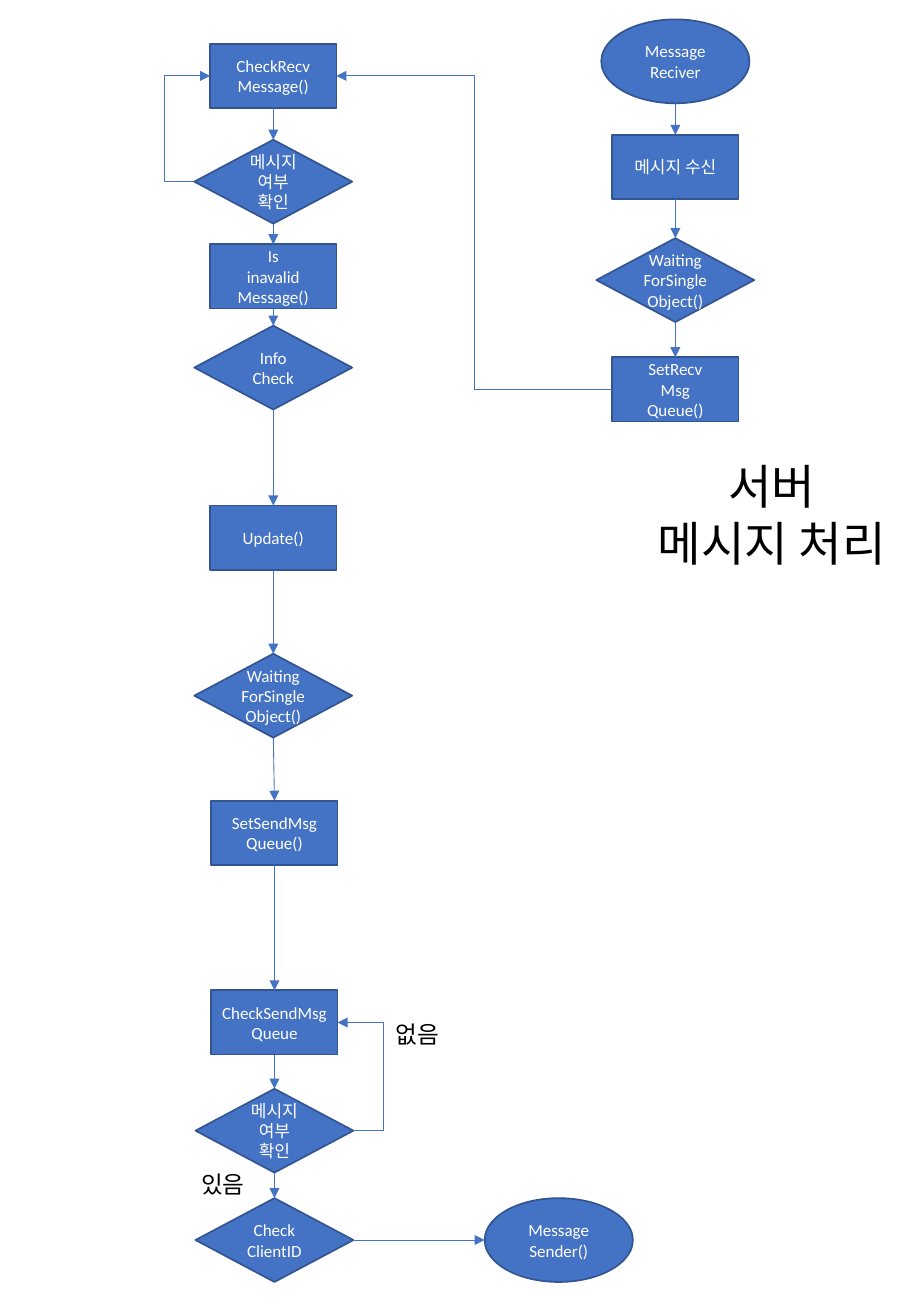
from itertools import pairwise

from lxml import etree
from pptx import Presentation
from pptx import util as u
from pptx.dml.color import RGBColor
from pptx.enum import shapes, text
from pptx.oxml.ns import qn

# Content: each lane is a centre line with (key, kind, top, lines) from top to bottom
TITLE = ["서버", "메시지 처리"]
WAIT = ["Waiting", "ForSingleObject()"]
HAS_MESSAGE = ["메시지 여부 확인"]
LANES = [
    (2.25, [
        ("check_recv", "step", 0.36, ["CheckRecv", "Message()"]),
        ("recv_any", "choice", 1.15, HAS_MESSAGE),
        ("invalid", "step", 2.01, ["Is", "inavalid", "Message()"]),
        ("info", "choice", 2.68, ["Info Check"]),
        ("update", "step", 4.16, ["Update()"]),
        ("send_wait", "choice", 5.38, WAIT),
    ]),
    (2.26, [
        ("set_send", "step", 6.59, ["SetSendMsg", "Queue()"]),
        ("check_send", "step", 8.15, ["CheckSendMsg", "Queue"]),
        ("send_any", "choice", 8.96, HAS_MESSAGE),
        ("client", "choice", 9.86, ["Check", "ClientID"]),
    ]),
    (5.56, [
        ("receiver", "end", 0.16, ["Message", "Reciver"]),
        ("receive", "step", 1.11, ["메시지 수신"]),
        ("recv_wait", "choice", 1.96, WAIT),
        ("set_recv", "step", 2.94, ["SetRecv", "Msg", "Queue()"]),
    ]),
    (4.6, [("sender", "end", 9.86, ["Message", "Sender()"])]),
]
# Links beyond the lanes: from, side, to, side, x of the upright stretch
LINKS = [
    ("send_wait", "bottom", "set_send", "top", None),
    ("client", "right", "sender", "left", None),
    ("recv_any", "left", "check_recv", "left", 1.35),
    ("send_any", "right", "check_send", "right", 3.16),
    ("set_recv", "left", "check_recv", "right", 3.91),
]
ANSWERS = [("있음", 1.52, 9.58), ("없음", 3.12, 8.34)]

KINDS = {
    "step": (shapes.MSO_SHAPE.RECTANGLE, 1.04, 0.53),
    "choice": (shapes.MSO_SHAPE.DIAMOND, 1.3, 0.69),
    "end": (shapes.MSO_SHAPE.OVAL, 1.22, 0.69),
}
SIDES = {  # share of width, share of height, connection site
    "top": (0.5, 0, 0), "left": (0, 0.5, 1), "bottom": (0.5, 1, 2), "right": (1, 0.5, 3),
}
THEME = {
    "font": "Calibri", "fill": RGBColor(0x44, 0x72, 0xC4), "edge": RGBColor(0x32, 0x54, 0x91),
    "light": RGBColor(255, 255, 255), "dark": RGBColor(0, 0, 0),
    "node": 10.1, "answer": 14, "title": 28.1, "edge_width": 1, "link_width": 0.5,
}

deck = Presentation()
deck.slide_width, deck.slide_height = u.Inches(7.5), u.Inches(10.83)
slide = deck.slides.add_slide(deck.slide_layouts[5])


def write(frame, lines, size, color, anchor):
    frame.word_wrap = True
    frame.auto_size = text.MSO_AUTO_SIZE.NONE
    frame.vertical_anchor = anchor
    for i, line in enumerate(lines):
        para = frame.paragraphs[0] if i == 0 else frame.add_paragraph()
        para.alignment = text.PP_ALIGN.CENTER
        run = para.add_run()
        run.text = line
        run.font.name, run.font.size = THEME["font"], u.Pt(size)
        run.font.color.rgb = color


def add_node(center, kind, top, lines):
    preset, width, height = KINDS[kind]
    node = slide.shapes.add_shape(
        preset, *map(u.Inches, (center - width / 2, top, width, height)))
    node.shadow.inherit = False
    node.fill.solid()
    node.fill.fore_color.rgb = THEME["fill"]
    node.line.color.rgb = THEME["edge"]
    node.line.width = u.Pt(THEME["edge_width"])
    frame = node.text_frame
    frame.margin_left = frame.margin_right = u.Inches(0.06)
    frame.margin_top = frame.margin_bottom = u.Inches(0.03)
    write(frame, lines, THEME["node"], THEME["light"], text.MSO_ANCHOR.MIDDLE)
    return node


def side_point(node, side):
    across, down, _ = SIDES[side]
    return int(node.left + across * node.width), int(node.top + down * node.height)


def add_link(start, start_side, end, end_side, bend_x):
    source, target = nodes[start], nodes[end]
    begin, finish = side_point(source, start_side), side_point(target, end_side)
    route = shapes.MSO_CONNECTOR.ELBOW if bend_x else shapes.MSO_CONNECTOR.STRAIGHT
    link = slide.shapes.add_connector(route, *begin, *finish)
    # Ovals number their sites differently, so only the other kinds are glued
    oval = shapes.MSO_SHAPE.OVAL
    if source.auto_shape_type != oval:
        link.begin_connect(source, SIDES[start_side][2])
    if target.auto_shape_type != oval:
        link.end_connect(target, SIDES[end_side][2])
    link.line.color.rgb = THEME["fill"]
    link.line.width = u.Pt(THEME["link_width"])
    props = link._element.spPr
    etree.SubElement(props.find(qn("a:ln")), qn("a:tailEnd"), type="triangle")
    etree.SubElement(props, qn("a:effectLst"))
    if bend_x:
        share = (u.Inches(bend_x) - begin[0]) / (finish[0] - begin[0])
        guides = props.find(qn("a:prstGeom")).find(qn("a:avLst"))
        etree.SubElement(guides, qn("a:gd"), name="adj1", fmla=f"val {round(share * 100000)}")


# Title
title = slide.shapes.title
title.left, title.top, title.width, title.height = map(u.Inches, (5.21, 3.71, 2.29, 1.05))
write(title.text_frame, TITLE, THEME["title"], THEME["dark"], text.MSO_ANCHOR.TOP)

# Flow nodes
nodes = {key: add_node(center, kind, top, lines)
         for center, lane in LANES for key, kind, top, lines in lane}

# Arrows down each lane, then the links between lanes and the loops
down_links = [(above[0], "bottom", below[0], "top", None)
              for _, lane in LANES for above, below in pairwise(lane)]
for link_spec in down_links + LINKS:
    add_link(*link_spec)

# Answers beside the send check
for answer, left, top in ANSWERS:
    box = slide.shapes.add_textbox(*map(u.Inches, (left, top, 0.63, 0.34)))
    write(box.text_frame, [answer], THEME["answer"], THEME["dark"], text.MSO_ANCHOR.TOP)

deck.save("out.pptx")
